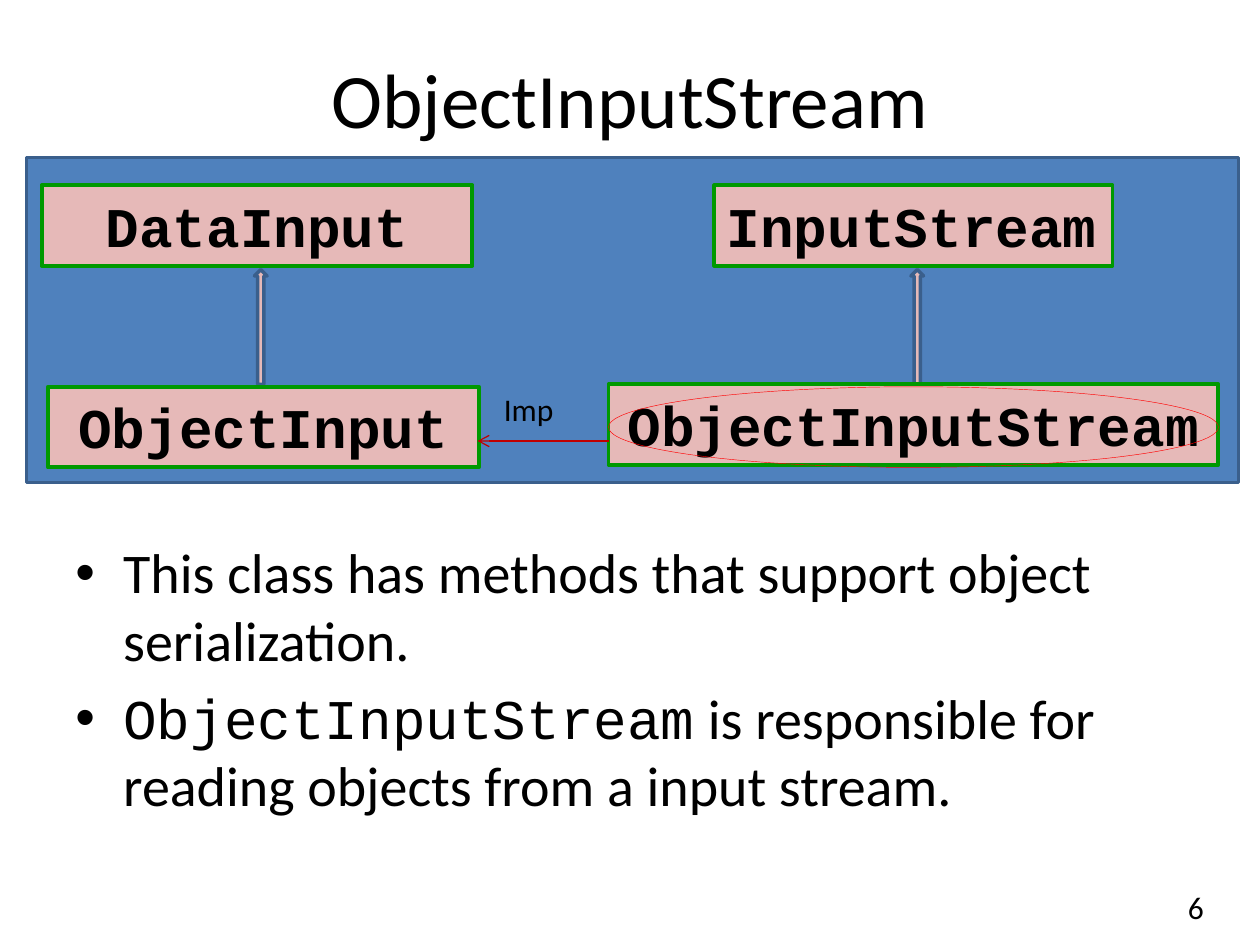
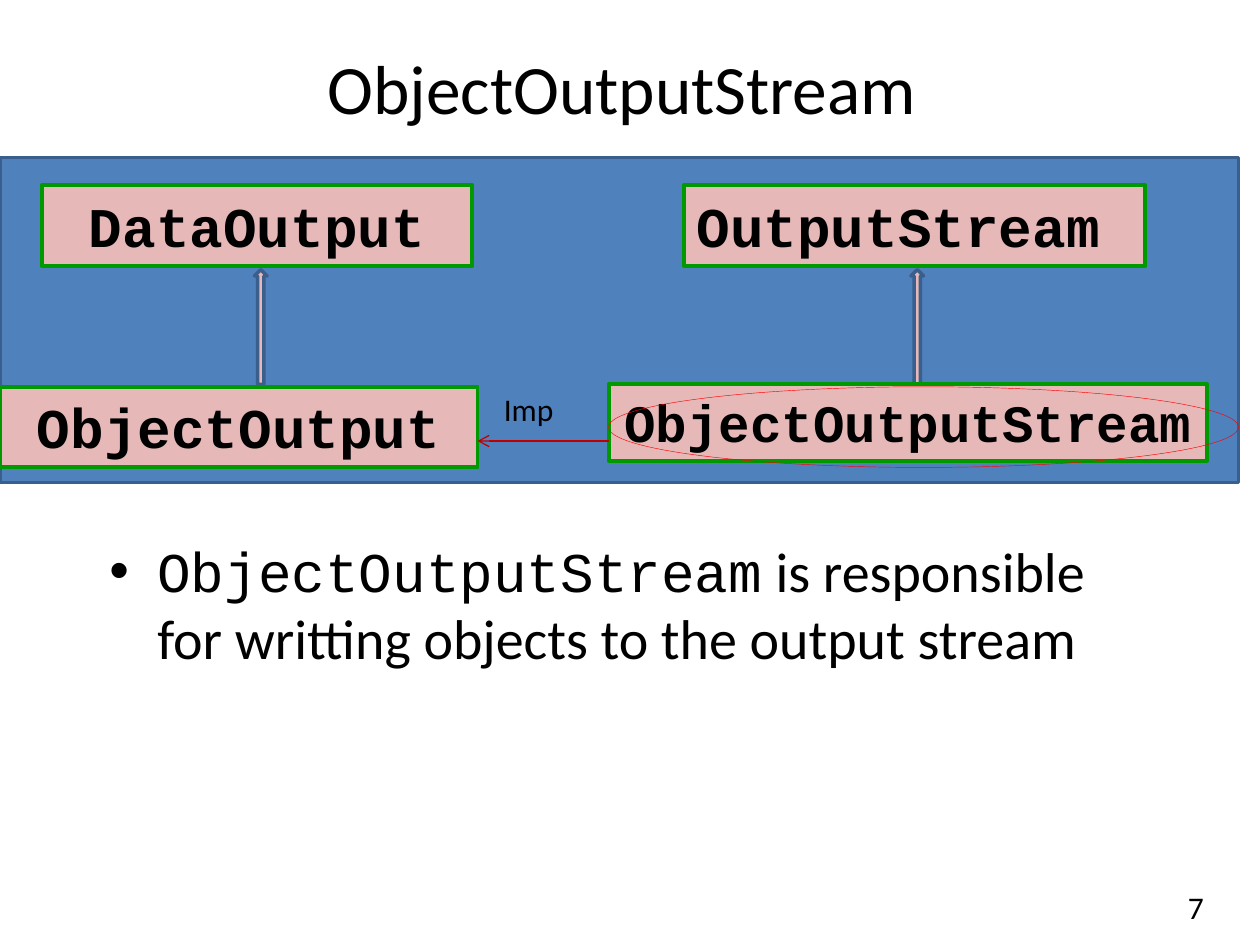
from dataclasses import dataclass

import pptx
import pptx.dml.color
import pptx.enum.shapes
import pptx.enum.text
import pptx.oxml
import pptx.oxml.ns
import pptx.presentation
import pptx.shapes.autoshape
import pptx.slide
import pptx.text.text
import pptx.util

Inches = pptx.util.Inches
Shapes = pptx.enum.shapes.MSO_SHAPE
Align = pptx.enum.text.PP_ALIGN
Anchor = pptx.enum.text.MSO_ANCHOR

COLOURS = {
    "text": "000000",
    "panel": "4F81BD",
    "panel_line": "3A5F8C",
    "box": "E6B9B8",
    "box_line": "009900",
    "implements": "C00000",
    "highlight": "FF0000",
}
SANS = "Calibri"
MONO = "Courier New"
TITLE_ONLY = 5
BULLET_INDENT = Inches(0.38)


@dataclass(frozen=True)
class Area:
    left: float
    top: float
    width: float
    height: float

    def lengths(self) -> list[int]:
        return [Inches(value) for value in (self.left, self.top, self.width, self.height)]


@dataclass(frozen=True)
class Style:
    fill: str | None
    line: str
    line_width: float


@dataclass(frozen=True)
class ClassBox:
    name: str
    area: Area
    size: float = 32
    align: Align = Align.CENTER


@dataclass(frozen=True)
class Run:
    text: str
    font: str = SANS


@dataclass(frozen=True)
class StreamSlide:
    number: int
    title: str
    title_area: Area
    title_size: float
    panel_left: float
    boxes: list[ClassBox]
    highlight_width: float
    body_area: Area
    bullets: list[list[Run]]


PANEL = Style("panel", "panel_line", 2)
BOX = Style("box", "box_line", 2.25)
INHERIT_ARROW = Style("box", "panel_line", 2)
HIGHLIGHT = Style(None, "highlight", 0.25)

PANEL_RIGHT = 9.83
BOX_HEIGHT = 0.64
PARENT_TOP = 1.47
INTERFACE_TOP = 3.07
CLASS_LEFT, CLASS_TOP = 4.83, 3.05
ARROW_LEFTS = (2.02, 7.23)
PARENT_INTERFACE_AREA = Area(0.33, PARENT_TOP, 3.42, BOX_HEIGHT)

SLIDES = [
    StreamSlide(
        number=6,
        title="ObjectInputStream",
        title_area=Area(0.5, 0.3, 9, 0.95),
        title_size=44,
        panel_left=0.21,
        boxes=[
            ClassBox("InputStream", Area(5.67, PARENT_TOP, 3.16, BOX_HEIGHT), align=Align.LEFT),
            ClassBox("ObjectInput", Area(0.38, INTERFACE_TOP, 3.42, BOX_HEIGHT)),
            ClassBox("DataInput", PARENT_INTERFACE_AREA),
            ClassBox("ObjectInputStream", Area(CLASS_LEFT, CLASS_TOP, 4.84, BOX_HEIGHT)),
        ],
        highlight_width=4.84,
        body_area=Area(0.5, 4.22, 8.83, 2.48),
        bullets=[
            [Run("This class has methods that support object serialization.")],
            [
                Run("ObjectInputStream", MONO),
                Run(" is responsible for reading objects from a input stream."),
            ],
        ],
    ),
    StreamSlide(
        number=7,
        title="ObjectOutputStream ",
        title_area=Area(0.5, 0.3, 9, 0.78),
        title_size=39.6,
        panel_left=0,
        boxes=[
            ClassBox("OutputStream", Area(5.43, PARENT_TOP, 3.66, BOX_HEIGHT), align=Align.LEFT),
            ClassBox("ObjectOutput", Area(0, INTERFACE_TOP, 3.79, BOX_HEIGHT)),
            ClassBox("DataOutput", PARENT_INTERFACE_AREA),
            ClassBox("ObjectOutputStream", Area(CLASS_LEFT, CLASS_TOP, 4.75, 0.61), size=30),
        ],
        highlight_width=5,
        body_area=Area(0.77, 4.21, 8.5, 1.54),
        bullets=[
            [
                Run("ObjectOutputStream", MONO),
                Run(" is responsible for writting objects to the output stream"),
            ],
        ],
    ),
]


def colour(name: str) -> pptx.dml.color.RGBColor:
    return pptx.dml.color.RGBColor.from_string(COLOURS[name])


def add_run(
    paragraph: pptx.text.text._Paragraph,
    text: str,
    size: float,
    font: str = SANS,
    bold: bool = False,
) -> None:
    run = paragraph.add_run()
    run.text = text
    formats = {"name": font, "size": pptx.util.Pt(size), "bold": bold}
    for attribute, value in formats.items():
        setattr(run.font, attribute, value)
    run.font.color.rgb = colour("text")


def add_styled_shape(
    slide: pptx.slide.Slide, kind: Shapes, area: Area, style: Style
) -> pptx.shapes.autoshape.Shape:
    shape = slide.shapes.add_shape(kind, *area.lengths())
    shape.shadow.inherit = False
    if style.fill:
        shape.fill.solid()
        shape.fill.fore_color.rgb = colour(style.fill)
    else:
        shape.fill.background()
    shape.line.color.rgb = colour(style.line)
    shape.line.width = pptx.util.Pt(style.line_width)
    return shape


def add_text_frame(slide: pptx.slide.Slide, area: Area) -> pptx.text.text.TextFrame:
    frame = slide.shapes.add_textbox(*area.lengths()).text_frame
    frame.word_wrap = True
    return frame


def add_label(slide: pptx.slide.Slide, area: Area, text: str) -> None:
    add_run(add_text_frame(slide, area).paragraphs[0], text, 18)


def add_title(slide: pptx.slide.Slide, content: StreamSlide) -> None:
    title = slide.shapes.title
    title.left, title.top, title.width, title.height = content.title_area.lengths()
    title.text_frame.vertical_anchor = Anchor.MIDDLE
    paragraph = title.text_frame.paragraphs[0]
    paragraph.alignment = Align.CENTER
    add_run(paragraph, content.title, content.title_size)


def add_class_box(slide: pptx.slide.Slide, box: ClassBox) -> None:
    shape = add_styled_shape(slide, Shapes.RECTANGLE, box.area, BOX)
    shape.text_frame.vertical_anchor = Anchor.TOP
    paragraph = shape.text_frame.paragraphs[0]
    paragraph.alignment = box.align
    add_run(paragraph, box.name, box.size, MONO, True)


def add_implements_arrow(slide: pptx.slide.Slide) -> None:
    height = Inches(3.5)
    connector = slide.shapes.add_connector(
        pptx.enum.shapes.MSO_CONNECTOR.STRAIGHT,
        Inches(CLASS_LEFT), height, Inches(3.79), height,
    )
    connector.line.color.rgb = colour("implements")
    connector.line.width = pptx.util.Pt(0.75)
    line = connector.line._get_or_add_ln()
    line.append(pptx.oxml.parse_xml(f'<a:tailEnd {pptx.oxml.ns.nsdecls("a")} type="arrow"/>'))
    properties = connector._element.spPr
    properties.append(pptx.oxml.parse_xml(f'<a:effectLst {pptx.oxml.ns.nsdecls("a")}/>'))


def add_diagram(slide: pptx.slide.Slide, content: StreamSlide) -> None:
    panel_area = Area(content.panel_left, 1.25, PANEL_RIGHT - content.panel_left, 2.58)
    add_styled_shape(slide, Shapes.RECTANGLE, panel_area, PANEL)
    for left in ARROW_LEFTS:
        add_styled_shape(slide, Shapes.UP_ARROW, Area(left, 2.14, 0.1, 0.91), INHERIT_ARROW)
    for box in content.boxes:
        add_class_box(slide, box)
    add_label(slide, Area(3.9, CLASS_TOP, 0.83, 0.5), "Imp")
    add_implements_arrow(slide)
    highlight_area = Area(CLASS_LEFT, INTERFACE_TOP, content.highlight_width, BOX_HEIGHT)
    add_styled_shape(slide, Shapes.OVAL, highlight_area, HIGHLIGHT)


def add_bullets(slide: pptx.slide.Slide, content: StreamSlide) -> None:
    frame = add_text_frame(slide, content.body_area)
    for index, runs in enumerate(content.bullets):
        paragraph = frame.add_paragraph() if index else frame.paragraphs[0]
        if index:
            paragraph.space_before = pptx.util.Pt(6.4)
        properties = paragraph._p.get_or_add_pPr()
        properties.set("marL", str(BULLET_INDENT))
        properties.set("indent", str(-BULLET_INDENT))
        namespace = pptx.oxml.ns.nsdecls("a")
        for element in ('buFont typeface="Arial"', 'buChar char="•"'):
            properties.append(pptx.oxml.parse_xml(f"<a:{element} {namespace}/>"))
        for run in runs:
            add_run(paragraph, run.text, 32, run.font)


def add_stream_slide(
    presentation: pptx.presentation.Presentation, content: StreamSlide
) -> None:
    slide = presentation.slides.add_slide(presentation.slide_layouts[TITLE_ONLY])
    add_label(slide, Area(9.33, 7, 0.67, 0.4), str(content.number))
    add_bullets(slide, content)
    add_title(slide, content)
    add_diagram(slide, content)


def main() -> None:
    presentation = pptx.Presentation()
    presentation.slide_width = Inches(10)
    presentation.slide_height = Inches(7.5)
    for content in SLIDES:
        add_stream_slide(presentation, content)
    presentation.save("out.pptx")


if __name__ == "__main__":
    main()
